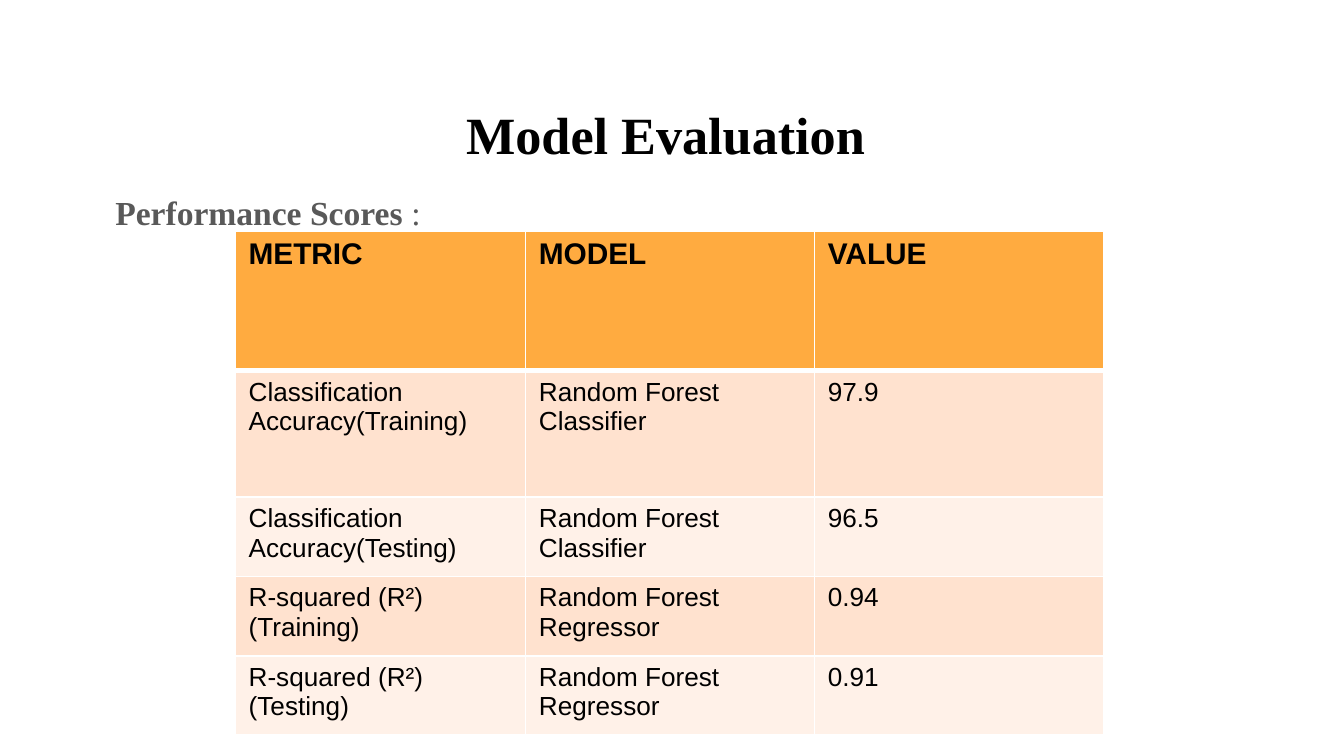
from pptx import Presentation
from pptx.dml.color import RGBColor
from pptx.enum.text import MSO_ANCHOR, PP_ALIGN
from pptx.oxml.ns import qn
from pptx.util import Inches, Pt
from lxml.etree import SubElement

COLORS = {"ink": "000000", "gray": "595959", "line": "FFFFFF",
          "header": "FFAB40", "dark_band": "FFE2CF", "light_band": "FFF1E8"}
SERIF, SANS = "Times New Roman", "Arial"
SCORES = [
    ("METRIC", "MODEL", "VALUE"),
    ("Classification Accuracy(Training)", "Random Forest Classifier", "97.9"),
    ("Classification Accuracy(Testing)", "Random Forest Classifier", "96.5"),
    ("R-squared (R²)(Training)", "Random Forest Regressor", "0.94"),
    ("R-squared (R²)(Testing)", "Random Forest Regressor", "0.91"),
]
COLUMN_WIDTHS = [2.16, 2.15, 2.15]
ROW_HEIGHTS = [1.04, 0.94, 0.59, 0.59, 0.59]


class SlideBuilder:
    """Holds the style and the current slide, with a method per element."""

    def __init__(self, page):
        self.page = page

    def place(self, box, left, top, width, height):
        values = {"left": left, "top": top, "width": width, "height": height}
        for name, value in values.items():
            setattr(box, name, Inches(value))

    def frame(self, box):
        values = {"word_wrap": True, "vertical_anchor": MSO_ANCHOR.TOP}
        for side in ("left", "right", "top", "bottom"):
            values[f"margin_{side}"] = Inches(0.1)
        for name, value in values.items():
            setattr(box.text_frame, name, value)
        return box.text_frame.paragraphs[0]

    def span(self, para, text, font, size, color, bold=False):
        span = para.add_run()
        span.text = text
        values = {"name": font, "size": Pt(size), "bold": bold}
        for name, value in values.items():
            setattr(span.font, name, value)
        span.font.color.rgb = RGBColor.from_string(COLORS[color])

    def title(self, text, area):
        box = self.page.shapes.title
        self.place(box, *area)
        para = self.frame(box)
        para.alignment = PP_ALIGN.CENTER
        self.span(para, text, SERIF, 28, "ink", True)
        para.add_line_break()

    def label(self, parts, area):
        box = self.page.shapes.add_textbox(*map(Inches, area))
        para = self.frame(box)
        para.line_spacing = 1.15
        para._p.get_or_add_pPr().set("marL", str(Inches(0.12)))
        for text, bold in parts:
            self.span(para, text, SERIF, 18, "gray", bold)

    def borders(self, cell, widths):
        properties = cell._tc.get_or_add_tcPr()
        for side, width in widths.items():
            line = SubElement(properties, qn(f"a:ln{side}"), w=str(Pt(width)))
            fill = SubElement(line, qn("a:solidFill"))
            SubElement(fill, qn("a:srgbClr"), val=COLORS["line"])

    def cell(self, cell, text, row):
        heading = row == 0
        self.borders(cell, {"L": 1, "R": 1, "T": 3 if row == 1 else 1,
                            "B": 3 if heading else 1})
        band = "header" if heading else "dark_band" if row % 2 else "light_band"
        cell.fill.solid()
        cell.fill.fore_color.rgb = RGBColor.from_string(COLORS[band])
        self.span(cell.text_frame.paragraphs[0], text, SANS,
                  16 if heading else 14, "ink", heading)

    def table(self, rows, left, top):
        area = (left, top, sum(COLUMN_WIDTHS), sum(ROW_HEIGHTS))
        table = self.page.shapes.add_table(
            len(rows), len(COLUMN_WIDTHS), *map(Inches, area)).table
        for column, width in zip(table.columns, COLUMN_WIDTHS):
            column.width = Inches(width)
        for row, height in zip(table.rows, ROW_HEIGHTS):
            row.height = Inches(height)
        for row, texts in enumerate(rows):
            for column, text in enumerate(texts):
                self.cell(table.cell(row, column), text, row)


def main():
    deck = Presentation()
    deck.slide_width, deck.slide_height = Inches(10), Inches(10 * 9 / 16)
    builder = SlideBuilder(deck.slides.add_slide(deck.slide_layouts[5]))
    builder.title("Model Evaluation ", (0.34, 0.66, 9.32, 0.57))
    builder.label([("Performance Scores ", True), (":", False)],
                  (0.64, 1.28, 8.94, 3.75))
    builder.table(SCORES, 1.75, 1.72)
    deck.save("out.pptx")


if __name__ == "__main__":
    main()
